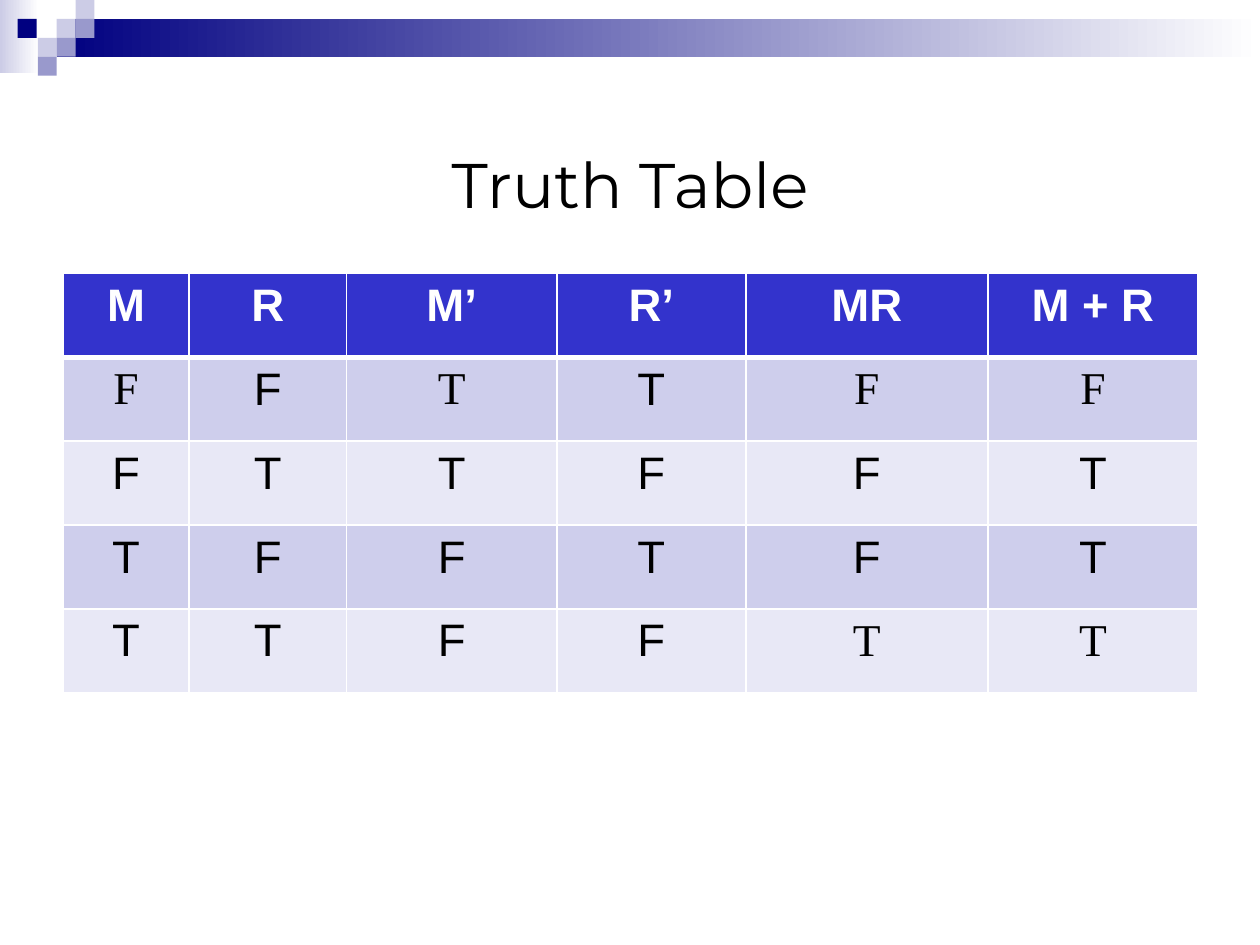
from lxml.etree import SubElement
from pptx import Presentation
from pptx.dml.color import RGBColor
from pptx.enum.shapes import MSO_SHAPE
from pptx.enum.text import MSO_ANCHOR, PP_ALIGN
from pptx.oxml.ns import qn
from pptx.util import Inches, Pt

COLORS = {
    "white": "FFFFFF", "black": "000000", "navy": "000080",
    "lilac": "CCCCE6", "violet": "9999CC",
    "header": "3333CC", "band_dark": "CECEEC", "band_light": "E8E8F6",
}


def rgb(name):
    return RGBColor.from_string(COLORS[name])


def add_block(left, top, width, height, color, fade=False):
    """Add a borderless rectangle, optionally fading to white on the right."""
    block = slide.shapes.add_shape(
        MSO_SHAPE.RECTANGLE, Inches(left), Inches(top), Inches(width), Inches(height))
    block.shadow.inherit = False
    block.line.fill.background()
    if fade:
        block.fill.gradient()
        block.fill.gradient_angle = 0
        for stop, stop_color in zip(block.fill.gradient_stops, (color, "white")):
            stop.color.rgb = rgb(stop_color)
    else:
        block.fill.solid()
        block.fill.fore_color.rgb = rgb(color)


prs = Presentation()
prs.slide_width, prs.slide_height = Inches(10), Inches(7.5)
slide = prs.slides.add_slide(prs.slide_layouts[5])

# Header band with its mosaic of small squares
add_block(0, 0, 0.31, 0.58, "lilac", fade=True)
add_block(0.45, 0.15, 9.55, 0.3, "navy", fade=True)
SQUARE = 0.15
for left, top, color in [
    (0.45, 0.15, "lilac"), (0.6, 0, "lilac"), (0.6, 0.15, "violet"),
    (0.3, 0.3, "lilac"), (0.14, 0.15, "navy"), (0.45, 0.3, "violet"),
    (0.3, 0.45, "violet"),
]:
    add_block(left, top, SQUARE, SQUARE, color)

# Title
title = slide.shapes.title
title.left, title.top, title.width, title.height = map(Inches, (0.5, 0.83, 9, 1.25))
title.text_frame.text = "Truth Table"
title.text_frame.vertical_anchor = MSO_ANCHOR.MIDDLE
heading = title.text_frame.paragraphs[0]
heading.alignment = PP_ALIGN.CENTER
heading.font.name = "Montserrat"
heading.font.size = Pt(36)
heading.font.color.rgb = rgb("black")

# Truth table
truth_rows = [
    ["M", "R", "M’", "R’", "MR", "M + R"],
    ["F", "F", "T", "T", "F", "F"],
    ["F", "T", "T", "F", "F", "T"],
    ["T", "F", "F", "T", "F", "T"],
    ["T", "T", "F", "F", "T", "T"],
]
serif_cells = {(1, 0), (1, 2), (1, 4), (1, 5), (4, 4), (4, 5)}
column_widths = [1, 1.25, 1.67, 1.5, 1.92, 1.67]

truth_table = slide.shapes.add_table(
    len(truth_rows), len(column_widths),
    Inches(0.5), Inches(2.17), Inches(9), Inches(3.33)).table
for column, width in zip(truth_table.columns, column_widths):
    column.width = Inches(width)

for r, values in enumerate(truth_rows):
    is_header = r == 0
    band = "header" if is_header else "band_dark" if r % 2 else "band_light"
    for c, value in enumerate(values):
        cell = truth_table.cell(r, c)
        cell.margin_top = Inches(0.08)

        # White borders, thicker under the header row
        thick_side = {0: "lnB", 1: "lnT"}.get(r)
        for side in ("lnL", "lnR", "lnT", "lnB"):
            points = 3 if side == thick_side else 1
            border = SubElement(cell._tc.get_or_add_tcPr(), qn(f"a:{side}"), w=str(Pt(points)))
            SubElement(SubElement(border, qn("a:solidFill")), qn("a:srgbClr"), val=COLORS["white"])
        cell.fill.solid()
        cell.fill.fore_color.rgb = rgb(band)

        cell.text = value
        entry = cell.text_frame.paragraphs[0]
        entry.alignment = PP_ALIGN.CENTER
        entry.line_spacing = 0.93
        entry.space_before = Pt(6.5)
        entry.font.name = "Times New Roman" if (r, c) in serif_cells else "Arial"
        entry.font.size = Pt(26)
        entry.font.bold = is_header
        entry.font.color.rgb = rgb("white" if is_header else "black")

prs.save("out.pptx")
